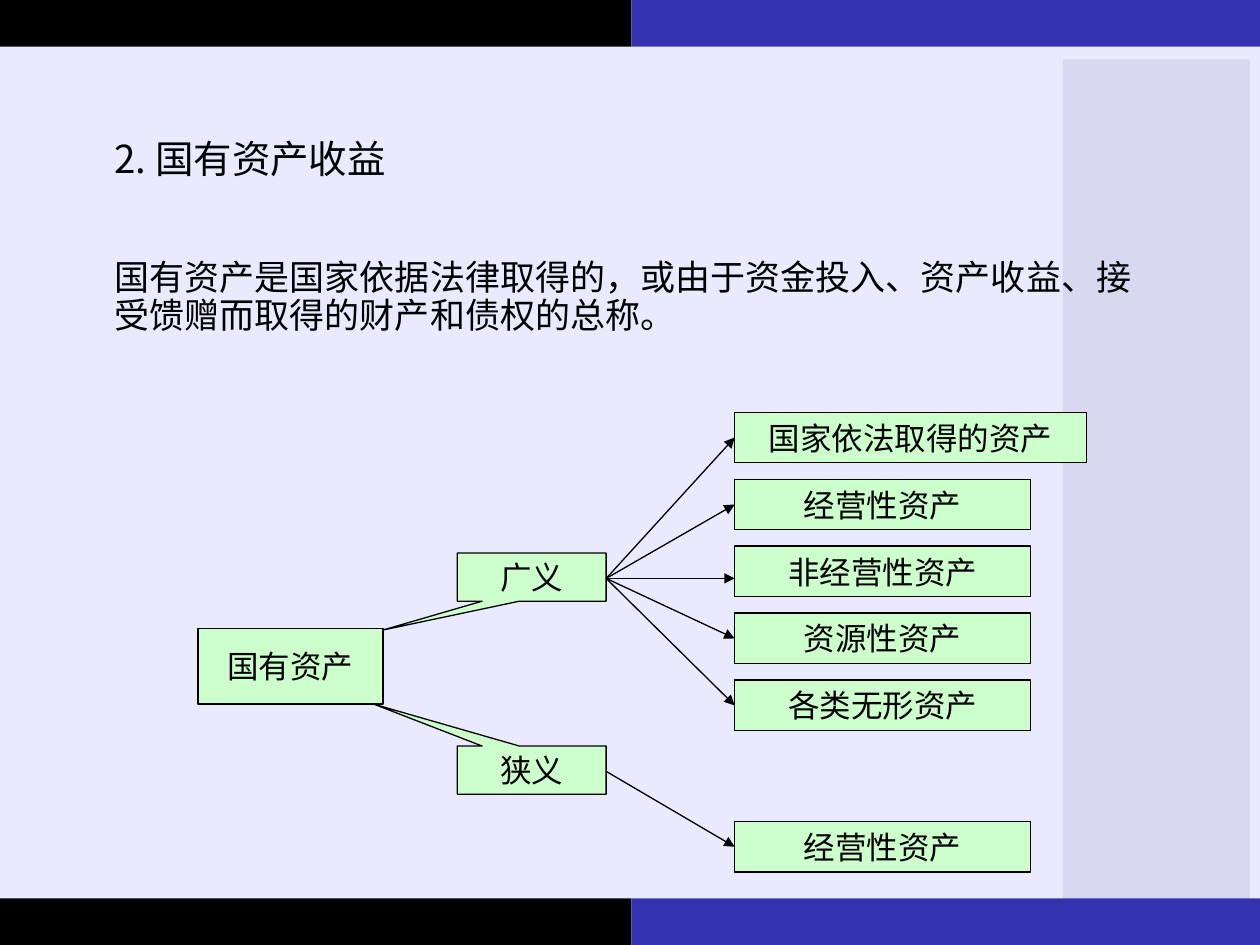
import pptx
import pptx.util
import pptx.dml.color
import pptx.enum.shapes
import pptx.enum.text
import pptx.oxml.ns
from lxml import etree

Cm = pptx.util.Cm
Pt = pptx.util.Pt
RGBColor = pptx.dml.color.RGBColor
SHAPE = pptx.enum.shapes.MSO_SHAPE

BLACK = RGBColor(0x00, 0x00, 0x00)
BLUE = RGBColor(0x33, 0x33, 0xB2)
LAVENDER = RGBColor(0xEA, 0xEA, 0xFF)
SIDE_PANEL = RGBColor(0xD8, 0xD8, 0xF0)
GREEN = RGBColor(0xCC, 0xFF, 0xCC)

SLIDE_WIDTH, SLIDE_HEIGHT = 25.4, 19.05
BAND_HEIGHT, BAND_SPLIT = 0.94, 12.73
LEAF_LEFT, LEAF_WIDTH, LEAF_HEIGHT = 14.81, 5.97, 1.02
LEAF_TOP, LEAF_PITCH = 8.31, 1.35
BRANCH_LEFT, BRANCH_WIDTH, BRANCH_HEIGHT = 9.22, 3.0, 0.97


class SlideBuilder:
    """Draws on one slide in a shared style; all lengths are centimetres."""

    text_font = "Noto Sans CJK SC"
    label_font = "Calibri"
    label_size = 18
    line_width = Pt(0.75)

    def __init__(self, slide):
        self.slide = slide

    def add_run(self, paragraph, text, size, font):
        run = paragraph.add_run()
        run.text = text
        run.font.size = Pt(size)
        run.font.name = font
        run.font.color.rgb = BLACK

    def panel(self, left, top, width, height, color, kind=SHAPE.RECTANGLE):
        shape = self.slide.shapes.add_shape(
            kind, Cm(left), Cm(top), Cm(width), Cm(height))
        shape.shadow.inherit = False
        shape.fill.solid()
        shape.fill.fore_color.rgb = color
        shape.line.fill.background()
        return shape

    def box(self, left, top, width, height, text, kind=SHAPE.FLOWCHART_PROCESS):
        shape = self.panel(left, top, width, height, GREEN, kind)
        shape.line.color.rgb = BLACK
        shape.line.width = self.line_width
        frame = shape.text_frame
        frame.word_wrap = False
        frame.vertical_anchor = pptx.enum.text.MSO_ANCHOR.MIDDLE
        paragraph = frame.paragraphs[0]
        paragraph.alignment = pptx.enum.text.PP_ALIGN.CENTER
        self.add_run(paragraph, text, self.label_size, self.label_font)
        return shape

    def callout(self, top, text, tip):
        """Add a branch box whose pointer ends at tip, in fractions of its size."""
        shape = self.box(BRANCH_LEFT, top, BRANCH_WIDTH, BRANCH_HEIGHT, text,
                         SHAPE.RECTANGULAR_CALLOUT)
        shape.adjustments[0], shape.adjustments[1] = tip

    def arrow(self, start_y, end_y):
        """Join the right edge of a branch to the left edge of a leaf."""
        connector = self.slide.shapes.add_connector(
            pptx.enum.shapes.MSO_CONNECTOR.STRAIGHT,
            Cm(BRANCH_LEFT + BRANCH_WIDTH), Cm(start_y), Cm(LEAF_LEFT), Cm(end_y))
        connector.line.color.rgb = BLACK
        connector.line.width = self.line_width
        qn = pptx.oxml.ns.qn
        line = connector.line._get_or_add_ln()
        etree.SubElement(line, qn("a:tailEnd"), type="triangle")
        etree.SubElement(connector._element.spPr, qn("a:effectLst"))

    def text(self, left, top, width, height, paragraphs):
        """Add paragraphs given as (text, size, line height, space before)."""
        frame = self.slide.shapes.add_textbox(
            Cm(left), Cm(top), Cm(width), Cm(height)).text_frame
        frame.word_wrap = True
        for index, (text, size, line_height, space) in enumerate(paragraphs):
            paragraph = frame.add_paragraph() if index else frame.paragraphs[0]
            paragraph.line_spacing = Pt(line_height)
            paragraph.space_before = Pt(space)
            self.add_run(paragraph, text, size, self.text_font)


def draw_background(builder):
    builder.panel(0, BAND_HEIGHT, SLIDE_WIDTH, SLIDE_HEIGHT - 2 * BAND_HEIGHT, LAVENDER)
    builder.panel(21.42, 1.2, 3.78, 17.11, SIDE_PANEL)
    for top in (0, SLIDE_HEIGHT - BAND_HEIGHT):
        builder.panel(0, top, BAND_SPLIT, BAND_HEIGHT, BLACK)
        builder.panel(BAND_SPLIT, top, SLIDE_WIDTH - BAND_SPLIT, BAND_HEIGHT, BLUE)


def draw_tree(builder):
    builder.box(3.99, 12.67, 3.73, 1.52, "国有资产")
    builder.callout(11.15, "广义", (-1.0, 1.1))
    builder.callout(15.04, "狭义", (-1.06, -1.37))

    broad_y, narrow_y = 11.66, 15.55
    broad_assets = ("国家依法取得的资产", "经营性资产", "非经营性资产",
                    "资源性资产", "各类无形资产")
    for index, name in enumerate(broad_assets):
        top = LEAF_TOP + index * LEAF_PITCH
        width = 7.09 if index == 0 else LEAF_WIDTH
        builder.box(LEAF_LEFT, top, width, LEAF_HEIGHT, name)
        is_middle = index == len(broad_assets) // 2
        builder.arrow(broad_y, broad_y if is_middle else top + LEAF_HEIGHT / 2)

    narrow_top = 16.56
    builder.box(LEAF_LEFT, narrow_top, LEAF_WIDTH, LEAF_HEIGHT, "经营性资产")
    builder.arrow(narrow_y, narrow_top + LEAF_HEIGHT / 2)


def main():
    presentation = pptx.Presentation()
    presentation.slide_width = Cm(SLIDE_WIDTH)
    presentation.slide_height = Cm(SLIDE_HEIGHT)
    slide = presentation.slides.add_slide(presentation.slide_layouts[6])
    builder = SlideBuilder(slide)

    draw_background(builder)
    builder.text(2.06, 2.69, 21.31, 14.38, (
        ("2. 国有资产收益", 22, 24, 10),
        ("国有资产是国家依据法律取得的，或由于资金投入、资产收益、"
         "接受馈赠而取得的财产和债权的总称。", 20, 22, 44),
    ))
    draw_tree(builder)
    presentation.save("out.pptx")


if __name__ == "__main__":
    main()
